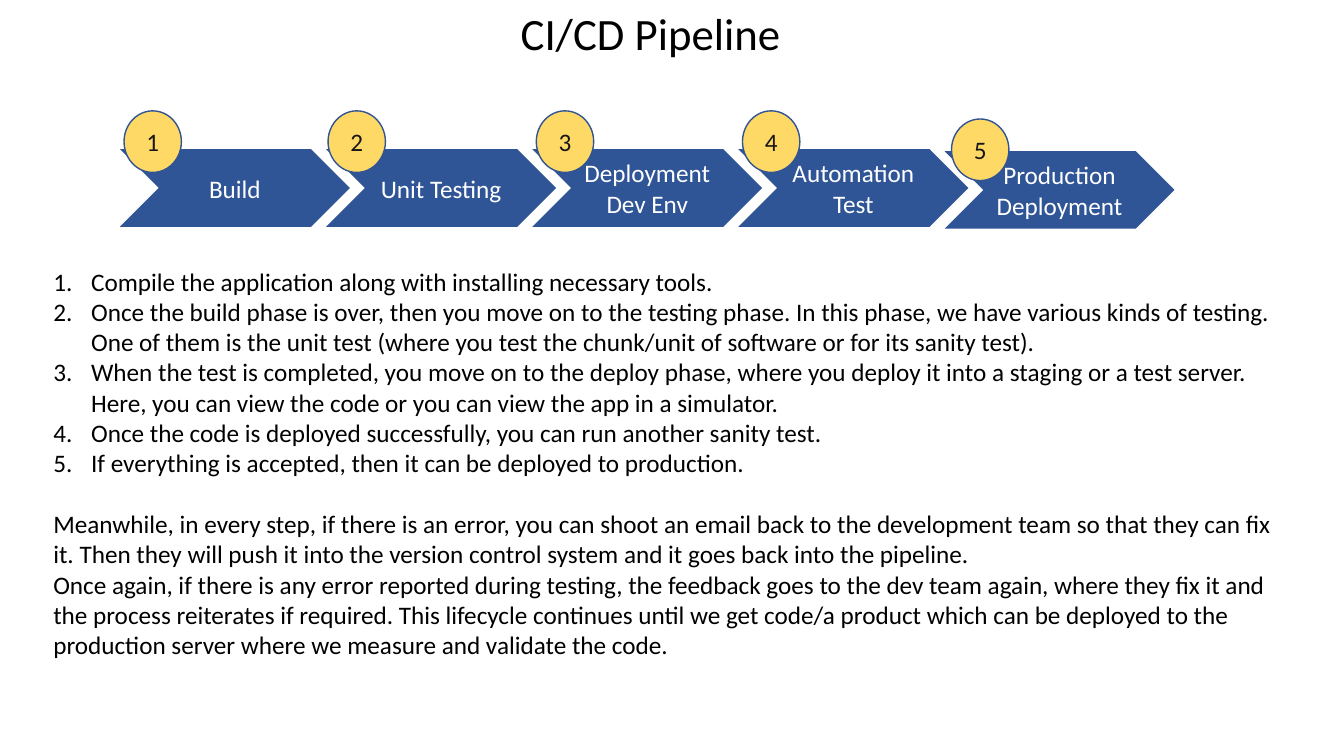
from pptx import Presentation
from pptx.dml.color import RGBColor as Rgb
from pptx.enum.shapes import MSO_SHAPE as Kind
from pptx.enum.text import MSO_ANCHOR as Anchor, PP_ALIGN as Align
from pptx.oxml.ns import qn
from pptx.util import Pt
from lxml.etree import SubElement as Sub

HUES = {"black": "000000", "white": "FFFFFF", "blue": "2F5597",
        "gold": "FFD966", "edge": "325491", "ink": "181717"}

# Step label, chevron drop, badge shift and badge drop, in points
STEPS = [("Build", 0, 2.9, 0),
         ("Unit Testing", 0, 1.4, 0),
         ("Deployment Dev Env", 0, 2.9, 0),
         ("Automation Test", 0, 2.9, 0),
         ("Production Deployment", 1.4, 5, 5.8)]

POINTS = [
    "Compile the application along with installing necessary tools.",
    "Once the build phase is over, then you move on to the\u00a0testing phase. "
    "In this phase, we have various kinds of testing. One of them is the\u00a0unit "
    "test\u00a0(where you test the chunk/unit of software or for its sanity test).",
    "When the test is completed, you move on to the\u00a0deploy phase, where you "
    "deploy it into a staging or a test server. Here, you can view the code or "
    "you can view the app in a simulator.",
    "Once the code is deployed successfully, you can run another sanity test.",
    "If everything is accepted, then it can be deployed to production."]

NOTES = [
    "Meanwhile, in every step, if there is an error, you can shoot an email back "
    "to the development team so that they can fix it. Then they will push it into "
    "the version control system and it goes back into the pipeline.",
    "Once again, if there is any error reported during testing, the feedback goes "
    "to the dev team again, where they fix it and the process reiterates if "
    "required. This lifecycle continues until we get code/a product which can be "
    "deployed to the production server where we measure and validate the code."]


def color(name):
    return Rgb.from_string(HUES[name])


def style(para, size, hue, align):
    para.alignment = align
    for run in para.runs:
        font = run.font
        font.name, font.size = "Calibri", Pt(size)
        font.color.rgb = color(hue)


def shape(slide, kind, box, text, fill, ink, edge=None):
    item = slide.shapes.add_shape(kind, *map(Pt, box))
    item.shadow.inherit = False
    item.fill.solid()
    item.fill.fore_color.rgb = color(fill)
    if edge:
        item.line.color.rgb = color(edge)
        item.line.width = Pt(1)
    else:
        item.line.fill.background()
    frame = item.text_frame
    frame.text = text
    frame.word_wrap = True
    frame.vertical_anchor = Anchor.MIDDLE
    style(frame.paragraphs[0], 18, ink, Align.CENTER)


def heading(slide, box, text):
    title = slide.shapes.title
    title.left, title.top, title.width, title.height = map(Pt, box)
    frame = title.text_frame
    frame.text = text
    frame.vertical_anchor = Anchor.MIDDLE
    style(frame.paragraphs[0], 32, "black", Align.CENTER)


def flow(slide, box, steps):
    left, top, width, height = box
    wide, high = 164.2, 55.4
    pitch = (width - wide) / (len(steps) - 1)
    base = top + height - high
    spots = [(left + i * pitch, *step) for i, step in enumerate(steps)]
    # Chevrons, the first step in front
    for x, label, drop, _, _ in reversed(spots):
        shape(slide, Kind.CHEVRON, (x, base + drop, wide, high),
              label, "blue", "white")
    # Numbered badges
    for num, (x, _, _, shift, drop) in enumerate(spots, 1):
        shape(slide, Kind.OVAL, (x + shift, top + drop, 41, 44),
              str(num), "gold", "ink", "edge")


def number(para):
    props = para._p.get_or_add_pPr()
    props.set("marL", str(Pt(27)))
    props.set("indent", str(-Pt(27)))
    Sub(props, qn("a:buFont"), typeface="+mj-lt")
    Sub(props, qn("a:buAutoNum"), type="arabicPeriod")


def body(slide, box, points, notes):
    frame = slide.shapes.add_textbox(*map(Pt, box)).text_frame
    frame.word_wrap = True
    frame.text = "\n".join(points + notes)
    paras = frame.paragraphs
    for para in paras:
        style(para, 18, "black", Align.LEFT)
    for para in paras[:len(points)]:
        number(para)
    # One line of space between the list and the notes
    paras[len(points)].space_before = Pt(22)


deck = Presentation()
deck.slide_width, deck.slide_height = Pt(960), Pt(540)
page = deck.slides.add_slide(deck.slide_layouts[5])
heading(page, (21.6, 0, 886.3, 46), "CI/CD Pipeline")
flow(page, (85.7, 79.2, 753.2, 82.8), STEPS)
body(page, (31, 186.5, 895, 334), POINTS, NOTES)
deck.save("out.pptx")
